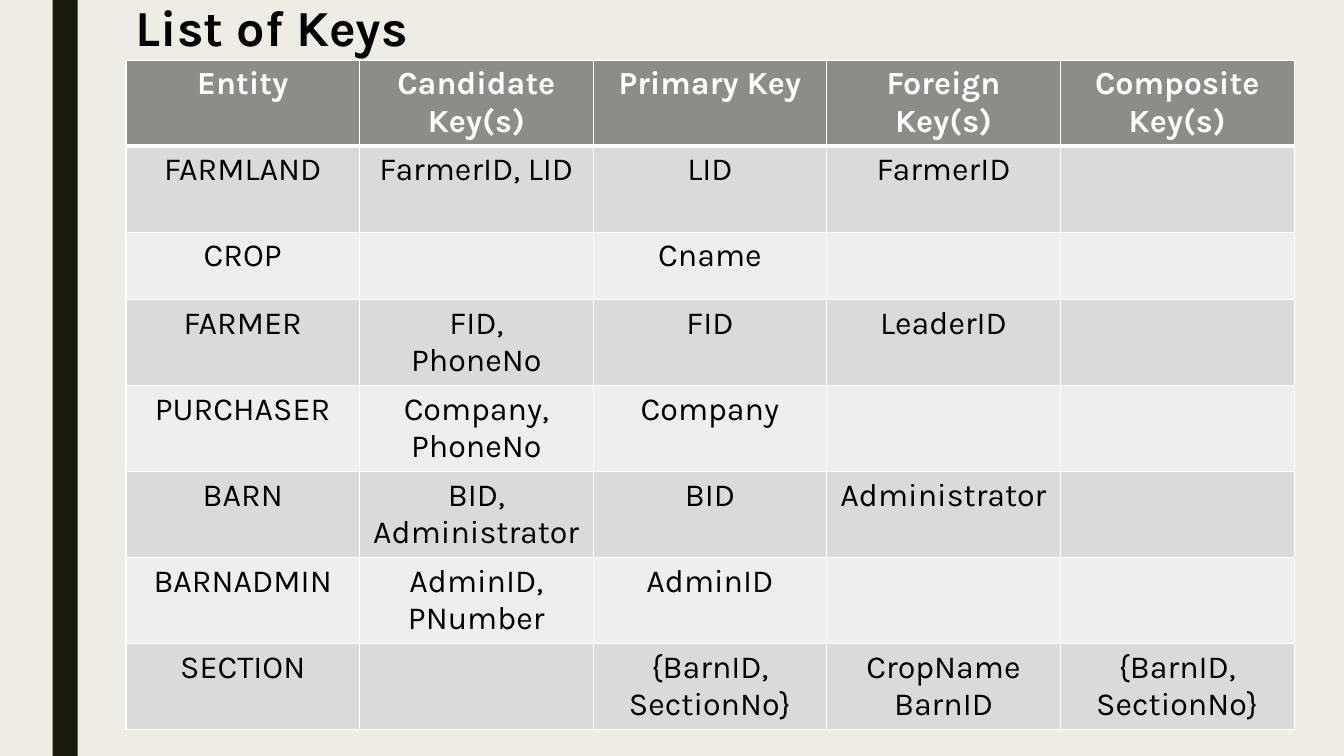
from lxml.etree import SubElement
from pptx import Presentation
from pptx.dml.color import RGBColor as Rgb
from pptx.enum.shapes import MSO_SHAPE as Shape
from pptx.enum.text import MSO_AUTO_SIZE as AutoSize, PP_ALIGN as Align
from pptx.oxml.ns import qn
from pptx.util import Pt

THEME = {
    "paper": "EFEDE3", "stripe": "191B0E", "header": "8C8D86",
    "bands": ("DADBD9", "EEEEED"), "rule": "FFFFFF",
    "title": {"name": "Karla", "size": Pt(36), "bold": True, "color": "000000"},
    "heading": {"name": "Karla", "size": Pt(23), "bold": True, "color": "FFFFFF"},
    "body": {"name": "Karla", "size": Pt(23), "bold": False, "color": "000000"},
}
KEYS = [
    ("Entity", "Candidate Key(s)", "Primary Key", "Foreign Key(s)", "Composite Key(s)"),
    ("FARMLAND", "FarmerID, LID", "LID", "FarmerID", ""),
    ("CROP", "", "Cname", "", ""),
    ("FARMER", "FID,\nPhoneNo", "FID", "LeaderID", ""),
    ("PURCHASER", "Company,\nPhoneNo", "Company", "", ""),
    ("BARN", "BID, Administrator", "BID", "Administrator", ""),
    ("BARNADMIN", "AdminID,\nPNumber", "AdminID", "", ""),
    ("SECTION", "", "{BarnID, SectionNo}", "CropName\nBarnID", "{BarnID, SectionNo}"),
]
LEFT, TABLE_TOP = 90, 43
COLUMN_WIDTH, ROW_HEIGHT, SHORT_ROW_HEIGHT = 166.9, 61.4, 48.2


def write(frame, text, style, align):
    """Fill a text frame with one styled paragraph per line of text."""
    frame.text = text
    for para in frame.paragraphs:
        para.alignment = align
        for span in para.runs:
            for name, value in THEME[style].items():
                if name == "color":
                    span.font.color.rgb = Rgb.from_string(value)
                else:
                    setattr(span.font, name, value)


def paint_cell(cell, color, widths):
    """Draw the cell's borders, then its fill, in the order the schema needs."""
    props = cell._tc.get_or_add_tcPr()
    for side, width in widths.items():
        line = SubElement(props, qn(f"a:ln{side}"), w=str(Pt(width)))
        solid = SubElement(line, qn("a:solidFill"))
        SubElement(solid, qn("a:srgbClr"), val=THEME["rule"])
    cell.fill.solid()
    cell.fill.fore_color.rgb = Rgb.from_string(color)


deck = Presentation()
deck.slide_width, deck.slide_height = Pt(960), Pt(540)
page = deck.slides.add_slide(deck.slide_layouts[6])
page.background.fill.solid()
page.background.fill.fore_color.rgb = Rgb.from_string(THEME["paper"])

stripe = page.shapes.add_shape(Shape.RECTANGLE, Pt(37.5), Pt(0), Pt(18), Pt(540))
stripe.shadow.inherit = False
stripe.fill.solid()
stripe.fill.fore_color.rgb = Rgb.from_string(THEME["stripe"])
stripe.line.fill.background()

row_heights = [SHORT_ROW_HEIGHT if row[0] == "CROP" else ROW_HEIGHT for row in KEYS]
table = page.shapes.add_table(
    len(KEYS), len(KEYS[0]), Pt(LEFT), Pt(TABLE_TOP),
    Pt(COLUMN_WIDTH * len(KEYS[0])), Pt(sum(row_heights))).table
for column in table.columns:
    column.width = Pt(COLUMN_WIDTH)
for r, (row, height) in enumerate(zip(KEYS, row_heights)):
    table.rows[r].height = Pt(height)
    is_header = r == 0
    color = THEME["header"] if is_header else THEME["bands"][(r - 1) % 2]
    widths = {"L": 1, "R": 1, "T": 3 if r == 1 else 1, "B": 3 if is_header else 1}
    for c, text in enumerate(row):
        cell = table.cell(r, c)
        write(cell.text_frame, text, "heading" if is_header else "body", Align.CENTER)
        paint_cell(cell, color, widths)

title_box = page.shapes.add_textbox(Pt(LEFT), Pt(-6.5), Pt(295), Pt(51))
title_box.text_frame.word_wrap = True
title_box.text_frame.auto_size = AutoSize.SHAPE_TO_FIT_TEXT
write(title_box.text_frame, "List of Keys", "title", Align.LEFT)

deck.save("out.pptx")
